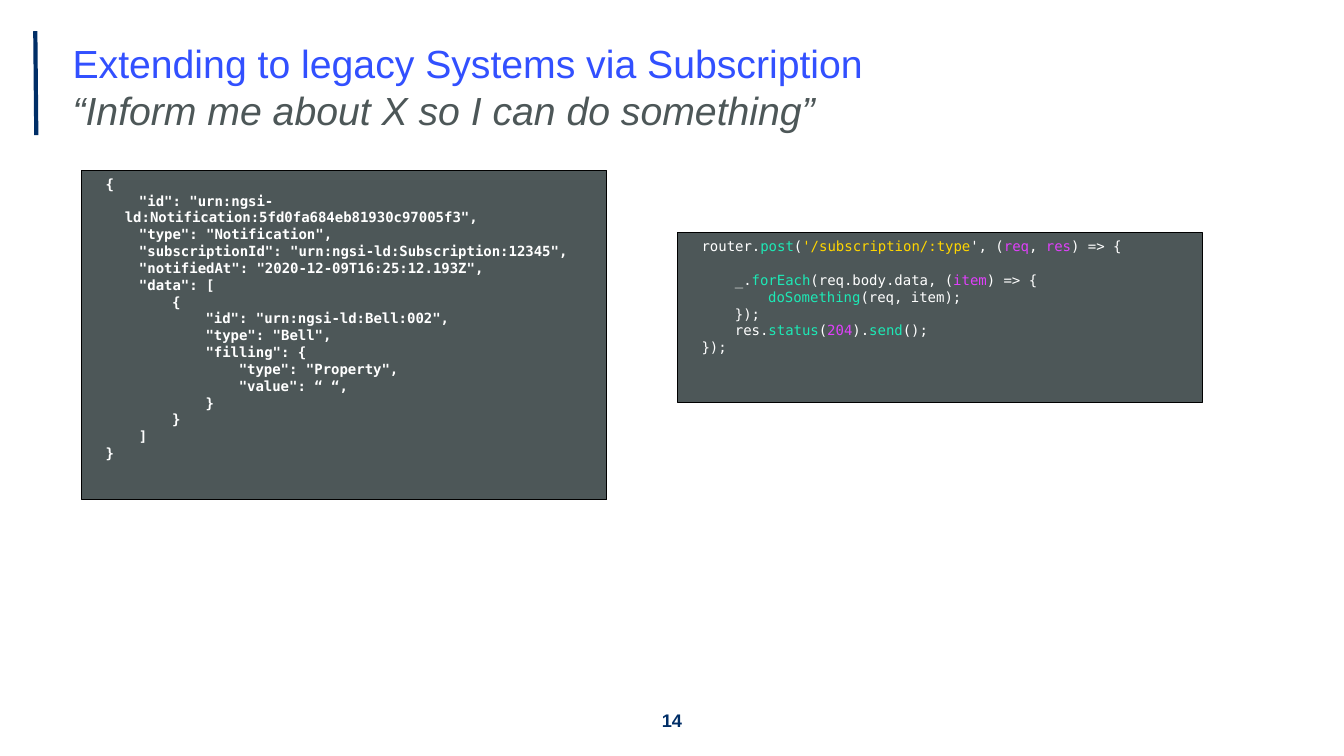
import pptx
import pptx.util
import pptx.dml.color
import pptx.enum.shapes
import pptx.enum.text
import lxml.etree
from dataclasses import dataclass

ALIGN = pptx.enum.text.PP_ALIGN
ANCHOR = pptx.enum.text.MSO_ANCHOR


@dataclass(frozen=True)
class Theme:
    sans: str = "Arial"
    mono: str = "DejaVu Sans Mono"
    navy: str = "002E67"
    blue: str = "3250FF"
    slate: str = "4D5758"
    white: str = "FFFFFF"
    black: str = "000000"
    green: str = "1DE9B6"
    gold: str = "FFD600"
    pink: str = "E040FB"
    head: int = 28
    foot: int = 13
    code: int = 10


THEME = Theme()
COLS, ROWS = 133.3, 75  # grid cells of a tenth of an inch
MARGIN, HANG, STEP = 0.33, -0.19, 0.33  # code indents in inches


def color(code):
    return pptx.dml.color.RGBColor.from_string(code)


def write(para, text, font=THEME.sans, size=THEME.code, fill=THEME.white,
          bold=False, italic=False):
    run = para.add_run()
    run.text = text
    face = run.font
    face.name, face.size = font, pptx.util.Pt(size)
    face.bold, face.italic = bold, italic
    face.color.rgb = color(fill)


class Deck:
    def __init__(self, theme):
        self.theme = theme
        self.file = pptx.Presentation()
        self.file.slide_width = self.cells(COLS)
        self.file.slide_height = self.cells(ROWS)
        self.slide = self.file.slides.add_slide(self.file.slide_layouts[5])

    def cells(self, count):
        return pptx.util.Inches(count / 10)

    def frame(self, shape, anchor):
        frame = shape.text_frame
        frame.word_wrap = True
        frame.auto_size = pptx.enum.text.MSO_AUTO_SIZE.NONE
        frame.vertical_anchor = anchor
        frame.margin_left = frame.margin_right = self.cells(1)
        frame.margin_top = frame.margin_bottom = self.cells(0.5)
        return frame

    def paras(self, frame, count):
        for _ in range(count - 1):
            frame.add_paragraph()
        return frame.paragraphs

    def rule(self, *ends):
        line = self.slide.shapes.add_connector(
            pptx.enum.shapes.MSO_CONNECTOR.STRAIGHT, *map(self.cells, ends))
        line.line.color.rgb = color(self.theme.navy)
        line.line.width = pptx.util.Pt(3)
        props = line._element.spPr
        lxml.etree.SubElement(props, pptx.oxml.ns.qn("a:effectLst"))

    def title(self, box, main, sub):
        look, shape = self.theme, self.slide.shapes.title
        shape.left, shape.top, shape.width, shape.height = map(self.cells, box)
        top, low = self.paras(self.frame(shape, ANCHOR.MIDDLE), 2)
        top.alignment = low.alignment = ALIGN.LEFT
        write(top, main, size=look.head, fill=look.blue)
        write(low, sub, size=look.head, fill=look.slate, italic=True)

    def label(self, box, text):
        shape = self.slide.shapes.add_textbox(*map(self.cells, box))
        para = self.frame(shape, ANCHOR.MIDDLE).paragraphs[0]
        para.alignment = ALIGN.CENTER
        write(para, text, size=self.theme.foot, fill=self.theme.navy, bold=True)

    def code(self, box, lines, bold=False, gaps=()):
        """Each line is its depth, then runs: plain text or (text, colour)."""
        look = self.theme
        shape = self.slide.shapes.add_shape(
            pptx.enum.shapes.MSO_SHAPE.RECTANGLE, *map(self.cells, box))
        shape.shadow.inherit = False
        shape.fill.solid()
        shape.fill.fore_color.rgb = color(look.slate)
        shape.line.color.rgb = color(look.black)
        shape.line.width = pptx.util.Pt(0.75)
        paras = self.paras(self.frame(shape, ANCHOR.TOP), len(lines))
        for row, (para, (depth, *runs)) in enumerate(zip(paras, lines)):
            para.alignment = ALIGN.LEFT
            props = para._p.get_or_add_pPr()
            props.set("marL", str(pptx.util.Inches(MARGIN)))
            props.set("indent", str(pptx.util.Inches(HANG + depth * STEP)))
            if row in gaps:
                para.space_before = pptx.util.Pt(12)
            for run in runs:
                text, fill = (run, look.white) if isinstance(run, str) else run
                write(para, text, font=look.mono, fill=fill, bold=bold)


NOTICE = [
    (0, '{'),
    (1, '"id": "urn:ngsi-ld:Notification:5fd0fa684eb81930c97005f3",'),
    (1, '"type": "Notification",'),
    (1, '"subscriptionId": "urn:ngsi-ld:Subscription:12345",'),
    (1, '"notifiedAt": "2020-12-09T16:25:12.193Z",'),
    (1, '"data": ['),
    (2, '{'),
    (3, '"id": "urn:ngsi-ld:Bell:002",'),
    (3, '"type": "Bell",'),
    (3, '"filling": {'),
    (4, '"type": "Property",'),
    (4, '"value": “ “,'),
    (3, '}'),
    (2, '}'),
    (1, ']'),
    (0, '}'),
]

GREEN, GOLD, PINK = THEME.green, THEME.gold, THEME.pink
ROUTER = [
    (0, "router.", ("post", GREEN), "(", ("'/subscription/:type", GOLD),
     "', (", ("req", PINK), ", ", ("res", PINK), ") => {"),
    (1, "_.", ("forEach", GREEN), "(req.body.data, (", ("item", PINK), ") => {"),
    (2, ("doSomething", GREEN), "(req, item);"),
    (1, "});"),
    (1, "res.", ("status", GREEN), "(", ("204", PINK), ").",
     ("send", GREEN), "();"),
    (0, "});"),
]


def main():
    deck = Deck(THEME)
    # Heading with its side rule
    deck.rule(3.6, 13.4, 3.5, 3.1)
    deck.title((6.2, 3.1, 123.1, 11),
               "Extending to legacy Systems via Subscription",
               "“Inform me about X so I can do something”")
    # Page number
    deck.label((59.1, 69.5, 15.1, 4), "14")
    # Code panels
    deck.code((8.1, 16.9, 52.1, 32.7), NOTICE, bold=True)
    deck.code((67.2, 23.1, 52.1, 16.8), ROUTER, gaps=(1,))
    deck.file.save("out.pptx")


if __name__ == "__main__":
    main()
